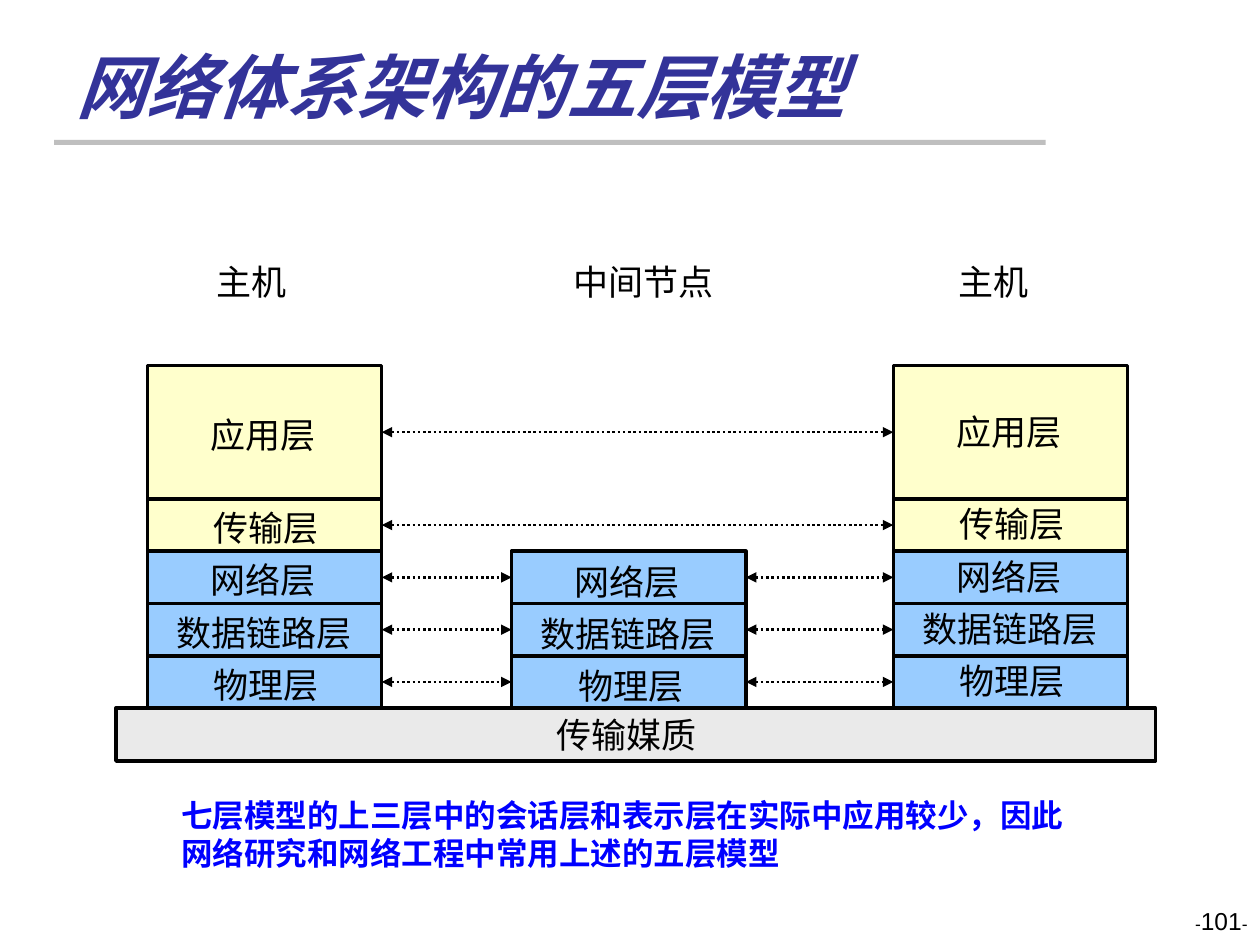
from pptx import Presentation
from pptx.dml.color import RGBColor
from pptx.enum.dml import MSO_LINE_DASH_STYLE as Dash
from pptx.enum.shapes import MSO_CONNECTOR as Connector, MSO_SHAPE as Shape
from pptx.enum.text import MSO_ANCHOR as Anchor, PP_ALIGN as Align
from pptx.oxml.ns import qn
from pptx.util import Inches, Pt
from lxml.etree import SubElement

BLACK, YELLOW, BLUE, GREY = "000000", "FFFFCC", "99CCFF", "EAEAEA"
LEFT_SIDE, RIGHT_SIDE = 1, 3
APP_HEIGHT, ROW = Inches(1.06), Inches(1.66) // 4
LABEL_HEIGHT = Inches(0.43)

# Layers from the top: name, fill, height, label inset, label width
LAYERS = [
    ("应用层", YELLOW, APP_HEIGHT, 0.05, 1.73),
    ("传输层", YELLOW, ROW, 0.12, 1.65),
    ("网络层", BLUE, ROW, 0.05, 1.73),
    ("数据链路层", BLUE, ROW, 0.05, 1.75),
    ("物理层", BLUE, ROW, 0.12, 1.65),
]


def color(hex_value):
    return RGBColor.from_string(hex_value)


def add_text(slide, left, top, width, height, lines, size=20, fill=BLACK,
             font="Arial", bold=False, italic=False, align=Align.LEFT,
             anchor=Anchor.TOP, wrap=True):
    frame = slide.shapes.add_textbox(left, top, width, height).text_frame
    frame.word_wrap = wrap
    frame.vertical_anchor = anchor
    frame.text = "\n".join(lines)
    for paragraph in frame.paragraphs:
        paragraph.alignment = align
        paragraph.font.name = font
        paragraph.font.size = Pt(size)
        paragraph.font.bold = bold
        paragraph.font.italic = italic
        paragraph.font.color.rgb = color(fill)


def add_block(slide, left, top, width, height, fill, outlined=True):
    block = slide.shapes.add_shape(Shape.RECTANGLE, left, top, width, height)
    block.shadow.inherit = False
    block.fill.solid()
    block.fill.fore_color.rgb = color(fill)
    if outlined:
        block.line.color.rgb = color(BLACK)
        block.line.width = Pt(2)
    else:
        block.line.fill.background()
    return block


def add_title(slide, left, top, width, height):
    add_block(slide, left - Inches(0.08), top + Inches(0.83), Inches(7.87),
              Inches(0.04), "BFBFBF", outlined=False)
    add_text(slide, left, top, width, height, ["网络体系架构的五层模型"], 40,
             "333399", "Calibri", bold=True, italic=True, anchor=Anchor.BOTTOM)


def add_stack(slide, left, bottom, width, layers, label_drop):
    """Stack the layers on the bottom edge; return blocks by layer name."""
    blocks = {}
    top = bottom - sum(height for _, _, height, _, _ in layers)
    for name, fill, height, inset, label_width in layers:
        blocks[name] = add_block(slide, left, top, width, height, fill)
        label_top = top + (height - LABEL_HEIGHT) // 2 + label_drop
        add_text(slide, left + Inches(inset), label_top, Inches(label_width),
                 LABEL_HEIGHT, [name], align=Align.CENTER)
        top += height
    return blocks


def link_peers(slide, left_block, right_block):
    link = slide.shapes.add_connector(Connector.STRAIGHT, 0, 0, 0, 0)
    link.begin_connect(left_block, RIGHT_SIDE)
    link.end_connect(right_block, LEFT_SIDE)
    link.line.color.rgb = color(BLACK)
    link.line.width = Pt(1.5)
    link.line.dash_style = Dash.ROUND_DOT
    outline = link.line._get_or_add_ln()
    for end in ("a:headEnd", "a:tailEnd"):
        SubElement(outline, qn(end), type="triangle")
    SubElement(link._element.spPr, qn("a:effectLst"))


def add_model(slide, left, top, width, height):
    medium_top = top + height - Inches(0.42)
    stack_width = Inches(1.86)

    # Headings above the stacks
    for heading, offset, heading_width in [
            ("主机", 0.7, 0.76), ("中间节点", 3.53, 1.32), ("主机", 6.59, 0.76)]:
        add_text(slide, left + Inches(offset), top, Inches(heading_width),
                 LABEL_HEIGHT, [heading], wrap=False)

    # Two hosts with all layers, a node with the lower three
    host_a, node, host_b = [
        add_stack(slide, left + Inches(offset), medium_top, stack_width,
                  layers, Inches(drop))
        for offset, layers, drop in [
            (0.25, LAYERS, 0.02), (3.14, LAYERS[2:], 0.03),
            (6.17, LAYERS, -0.01)]]

    # Shared transmission medium
    add_block(slide, left, medium_top, width, Inches(0.42), GREY)
    add_text(slide, left + Inches(3.4), medium_top - Inches(0.01),
             Inches(1.31), LABEL_HEIGHT, ["传输媒质"], wrap=False)

    # Links between peer layers, by way of the node where it has the layer
    for name in host_a:
        chain = [stack[name] for stack in (host_a, node, host_b)
                 if name in stack]
        for left_block, right_block in zip(chain, chain[1:]):
            link_peers(slide, left_block, right_block)


def add_note(slide, left, top, width, height):
    add_text(slide, left, top, width, height,
             ["七层模型的上三层中的会话层和表示层在实际中应用较少，因此",
              "网络研究和网络工程中常用上述的五层模型"],
             18, "0000FF", bold=True, wrap=False)


def add_page_number(slide, left, top, width, height):
    frame = slide.shapes.add_textbox(left, top, width, height).text_frame
    frame.word_wrap = True
    paragraph = frame.paragraphs[0]
    paragraph.alignment = Align.RIGHT
    paragraph.font.name = "Arial"
    paragraph.font.color.rgb = color(BLACK)
    for part, size in [("-", 10), ("101", 14), ("-", 10)]:
        run = paragraph.add_run()
        run.text = part
        run.font.size = Pt(size)


def main():
    deck = Presentation()
    deck.slide_width, deck.slide_height = Inches(10), Inches(7.5)
    slide = deck.slides.add_slide(deck.slide_layouts[6])
    add_title(slide, Inches(0.51), Inches(0.28), Inches(8.25), Inches(0.78))
    add_model(slide, Inches(0.92), Inches(2.02), Inches(8.25), Inches(4.02))
    add_note(slide, Inches(1.34), Inches(6.27), Inches(7.27), Inches(0.71))
    add_page_number(slide, Inches(7.67), Inches(7.14), Inches(2.33), Inches(0.5))
    deck.save("out.pptx")


if __name__ == "__main__":
    main()
